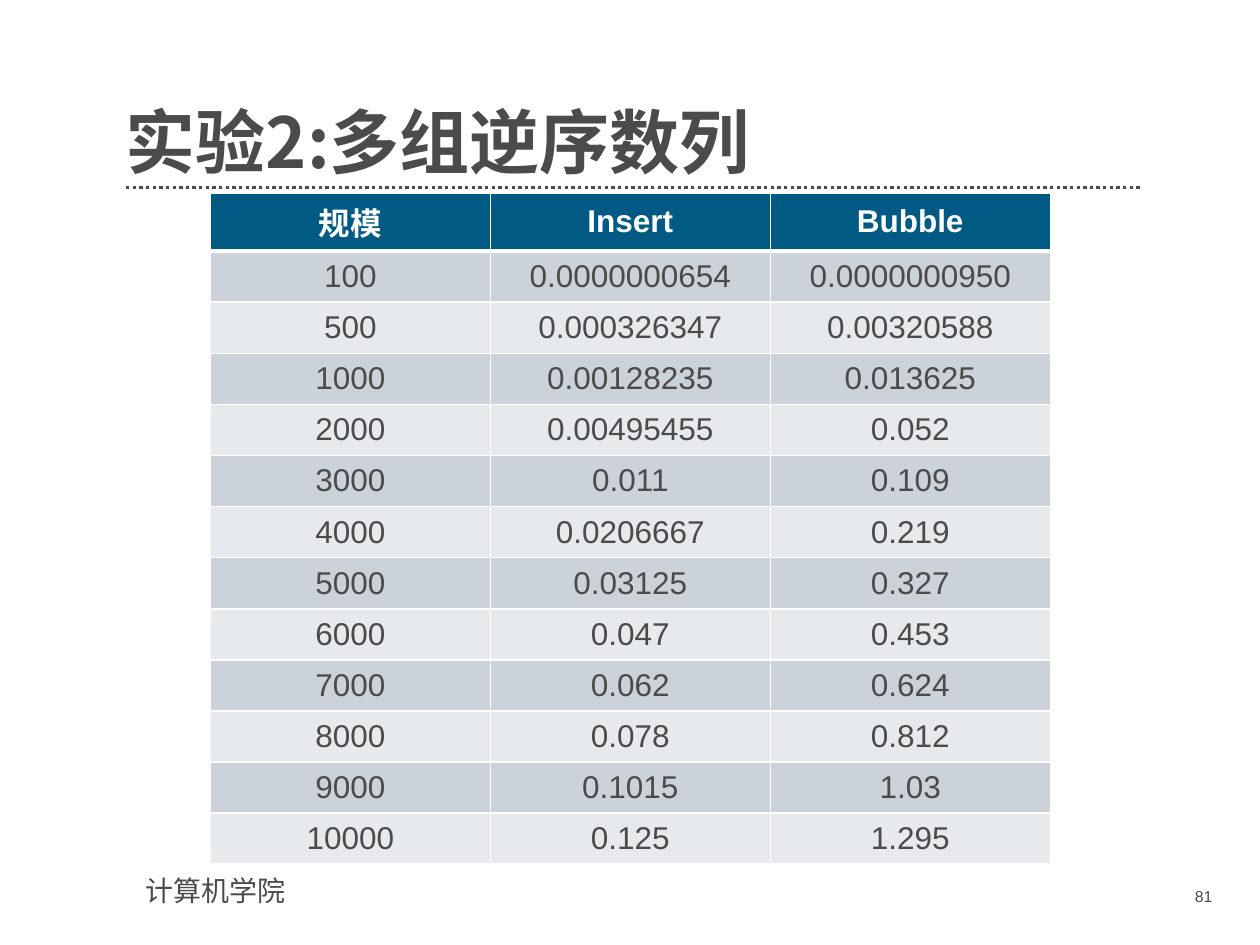
from dataclasses import dataclass

from lxml import etree
from pptx import Presentation
from pptx.dml.color import RGBColor
from pptx.enum.dml import MSO_LINE
from pptx.enum.shapes import MSO_CONNECTOR
from pptx.enum.text import MSO_ANCHOR, MSO_AUTO_SIZE, PP_ALIGN
from pptx.oxml.ns import qn
from pptx.util import Pt

LEFT, CENTER, RIGHT = PP_ALIGN.LEFT, PP_ALIGN.CENTER, PP_ALIGN.RIGHT
TOP, MIDDLE, BOTTOM = MSO_ANCHOR.TOP, MSO_ANCHOR.MIDDLE, MSO_ANCHOR.BOTTOM
STRAIGHT, DOTTED = MSO_CONNECTOR.STRAIGHT, MSO_LINE.ROUND_DOT
NO_AUTOFIT = MSO_AUTO_SIZE.NONE

GRAY = RGBColor(0x4B, 0x4B, 0x4B)
WHITE = RGBColor(0xFF, 0xFF, 0xFF)
BLUE = RGBColor(0x00, 0x5A, 0x84)
BAND_DARK = RGBColor(0xCC, 0xD2, 0xD9)
BAND_LIGHT = RGBColor(0xE7, 0xEA, 0xED)

LATIN_FONT = "Arial"
CJK_FONT = "Noto Sans CJK SC"
COL_WIDTH, ROW_HEIGHT = 160, 29.2

HEADER = ("规模", "Insert", "Bubble")
TIMINGS = (
    ("100", "0.0000000654", "0.0000000950"),
    ("500", "0.000326347", "0.00320588"),
    ("1000", "0.00128235", "0.013625"),
    ("2000", "0.00495455", "0.052"),
    ("3000", "0.011", "0.109"),
    ("4000", "0.0206667", "0.219"),
    ("5000", "0.03125", "0.327"),
    ("6000", "0.047", "0.453"),
    ("7000", "0.062", "0.624"),
    ("8000", "0.078", "0.812"),
    ("9000", "0.1015", "1.03"),
    ("10000", "0.125", "1.295"),
)


@dataclass(frozen=True)
class Box:
    left: float
    top: float
    width: float
    height: float


def write(tf, text: str, *, size: float, color: RGBColor = GRAY, bold: bool = False,
          font: str = LATIN_FONT, align=LEFT, spacing: float | None = None) -> None:
    """Write one formatted paragraph into a text frame."""
    p = tf.paragraphs[0]
    p.alignment = align
    if spacing:
        p.line_spacing = spacing
    r = p.add_run()
    r.text = text
    r.font.size = Pt(size)
    r.font.bold = bold
    r.font.name = font
    r.font.color.rgb = color
    ea = etree.Element(qn("a:ea"), typeface=CJK_FONT)
    r.font._element.find(qn("a:latin")).addnext(ea)


def add_text(s, box: Box, text: str, *, anchor=TOP, inset: bool = True, **fmt) -> None:
    """Add a wrapping text box, with or without its inner margins."""
    sp = s.shapes.add_textbox(Pt(box.left), Pt(box.top), Pt(box.width), Pt(box.height))
    tf = sp.text_frame
    tf.word_wrap = True
    tf.auto_size = NO_AUTOFIT
    tf.vertical_anchor = anchor
    if not inset:
        tf.margin_left = tf.margin_right = tf.margin_top = tf.margin_bottom = 0
    write(tf, text, **fmt)


def add_rule(s, left: float, right: float, y: float) -> None:
    """Add the dotted rule under the title."""
    line = s.shapes.add_connector(STRAIGHT, Pt(left), Pt(y), Pt(right), Pt(y))
    line.line.color.rgb = GRAY
    line.line.width = Pt(1.9)
    line.line.dash_style = DOTTED
    etree.SubElement(line._element.spPr, qn("a:effectLst"))


def set_borders(cell, widths: dict[str, float]) -> None:
    """Give a cell white borders of the given widths."""
    tc_pr = cell._tc.get_or_add_tcPr()
    for side, width in widths.items():
        ln = etree.SubElement(tc_pr, qn(f"a:ln{side}"), w=str(Pt(width)))
        fill = etree.SubElement(ln, qn("a:solidFill"))
        etree.SubElement(fill, qn("a:srgbClr"), val=str(WHITE))


def add_timings(s, left: float, top: float) -> None:
    """Add the banded table of sorting times."""
    rows = (HEADER, *TIMINGS)
    n_rows, n_cols = len(rows), len(HEADER)
    table = s.shapes.add_table(n_rows, n_cols, Pt(left), Pt(top),
                               Pt(n_cols * COL_WIDTH), Pt(n_rows * ROW_HEIGHT)).table
    for col in table.columns:
        col.width = Pt(COL_WIDTH)
    for i, values in enumerate(rows):
        table.rows[i].height = Pt(ROW_HEIGHT)
        head = i == 0
        band = BAND_DARK if i % 2 else BAND_LIGHT
        widths = {"L": 1, "R": 1, "T": 3 if i == 1 else 1, "B": 3 if head else 1}
        for j, value in enumerate(values):
            cell = table.cell(i, j)
            set_borders(cell, widths)
            cell.fill.solid()
            cell.fill.fore_color.rgb = BLUE if head else band
            cell.vertical_anchor = MIDDLE
            write(cell.text_frame, value, size=18, bold=head, align=CENTER,
                  color=WHITE if head else GRAY)


def main() -> None:
    """Build the slide and save it."""
    prs = Presentation()
    prs.slide_width, prs.slide_height = Pt(720), Pt(540)
    s = prs.slides.add_slide(prs.slide_layouts[6])
    add_rule(s, 72, 652.3, 107.3)
    add_text(s, Box(76.3, 495.4, 184.3, 26.6), "计算机学院", size=16)
    add_text(s, Box(72, 39.6, 580.3, 65.5), "实验2:多组逆序数列", size=40, bold=True,
             font=CJK_FONT, spacing=0.9, anchor=BOTTOM, inset=False)
    add_text(s, Box(628.6, 503.3, 71.3, 20.9), "81", size=9, align=RIGHT)
    add_timings(s, 120.2, 110.2)
    prs.save("out.pptx")


if __name__ == "__main__":
    main()
